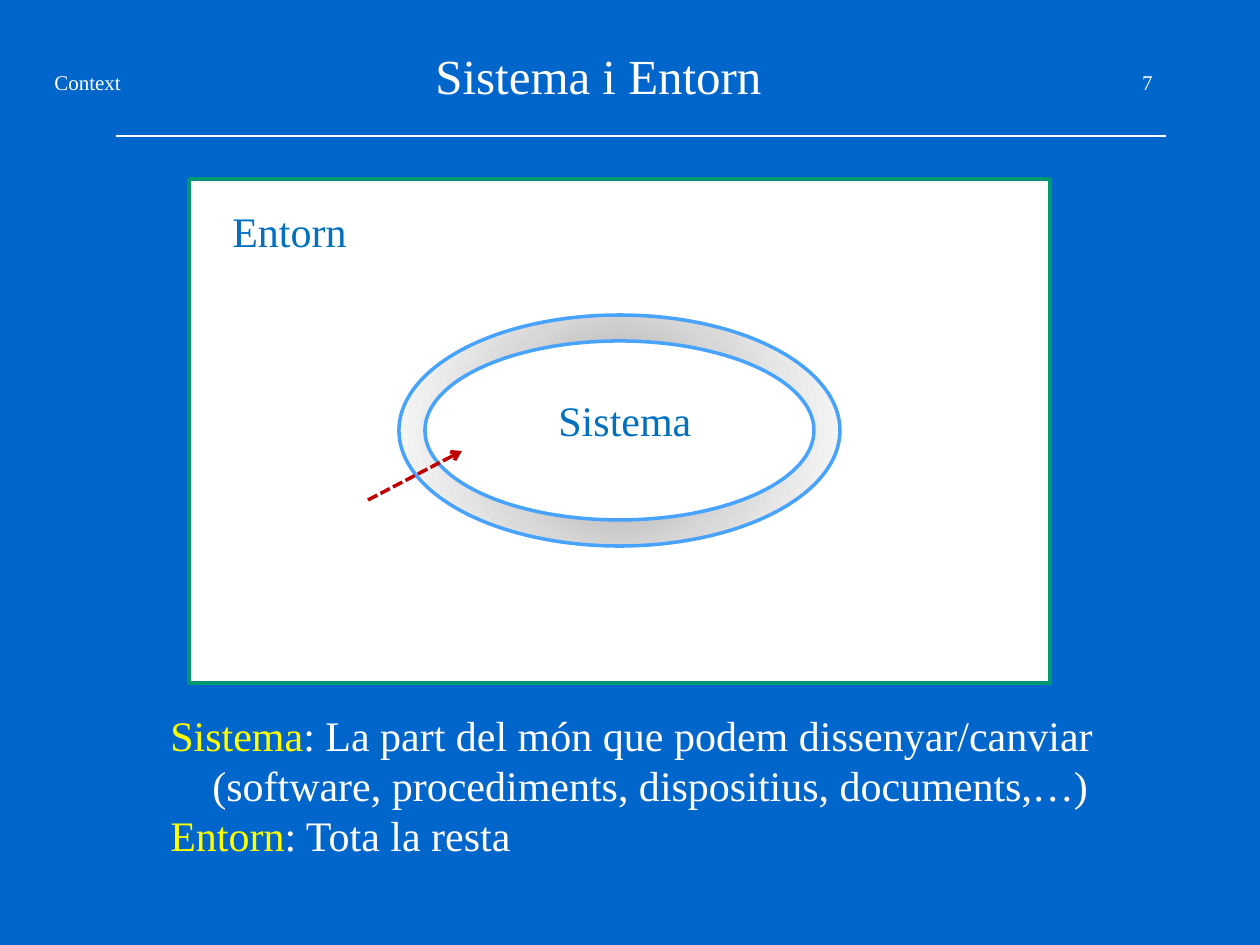
from dataclasses import dataclass

from lxml.etree import SubElement
from pptx import Presentation
from pptx.dml.color import RGBColor
from pptx.enum.dml import MSO_LINE
from pptx.enum.shapes import MSO_CONNECTOR, MSO_SHAPE
from pptx.enum.text import MSO_ANCHOR, MSO_AUTO_SIZE, PP_ALIGN
from pptx.oxml import parse_xml
from pptx.oxml.ns import nsdecls, qn
from pptx.util import Emu, Pt

PX_PER_INCH = 126
FONT = "Times New Roman"
BLUE = RGBColor(0x00, 0x66, 0xCC)
WHITE = RGBColor(0xFF, 0xFF, 0xFF)
YELLOW = RGBColor(0xFF, 0xFF, 0x00)
GREEN = RGBColor(0x00, 0x97, 0x71)
LIGHT_BLUE = RGBColor(0x47, 0xA3, 0xFF)
LABEL_BLUE = RGBColor(0x00, 0x70, 0xC0)
RED = RGBColor(0xC0, 0x00, 0x00)
RING_STOPS = ((0, "979797"), (50, "D7D7D7"), (100, "FFFFFF"))


def px(length: int) -> Emu:
    return Emu(round(length * 914400 / PX_PER_INCH))


@dataclass(frozen=True)
class Span:
    text: str
    color: RGBColor = WHITE


@dataclass(frozen=True)
class Line:
    spans: tuple[Span, ...]
    indent: int = 0


@dataclass(frozen=True)
class Label:
    left: int
    top: int
    width: int
    height: int
    lines: tuple[Line, ...]
    size: int = 24
    align: PP_ALIGN = PP_ALIGN.LEFT
    anchor: MSO_ANCHOR = MSO_ANCHOR.TOP
    wrap: bool = False


@dataclass(frozen=True)
class Area:
    kind: MSO_SHAPE
    left: int
    top: int
    width: int
    height: int
    outline: RGBColor


def one_line(text: str, color: RGBColor = WHITE) -> tuple[Line, ...]:
    return (Line((Span(text, color),)),)


HEADER = (
    Label(42, 63, 98, 38, one_line("Context"), size=12),
    Label(247, 33, 703, 84, one_line("Sistema i Entorn"), size=28,
          align=PP_ALIGN.CENTER, anchor=MSO_ANCHOR.MIDDLE, wrap=True),
    Label(976, 63, 189, 32, one_line("7"), size=12, align=PP_ALIGN.RIGHT, wrap=True),
)
DEFINITIONS = Label(158, 703, 956, 165, (
    Line((Span("Sistema", YELLOW), Span(": La part del món que podem dissenyar/canviar"))),
    Line((Span("(software, procediments, dispositius, documents,…)"),), indent=42),
    Line((Span("Entorn", YELLOW), Span(": Tota la resta"))),
))
ENVIRONMENT = Area(MSO_SHAPE.RECTANGLE, 189, 179, 861, 504, GREEN)
RING = Area(MSO_SHAPE.OVAL, 399, 315, 441, 231, LIGHT_BLUE)
SYSTEM = Area(MSO_SHAPE.OVAL, 425, 341, 389, 179, LIGHT_BLUE)
AREA_LABELS = (
    Label(546, 388, 160, 63, one_line("Sistema", LABEL_BLUE)),
    Label(220, 199, 141, 63, one_line("Entorn", LABEL_BLUE)),
)


def add_label(page, label: Label) -> None:
    box = page.shapes.add_textbox(px(label.left), px(label.top),
                                  px(label.width), px(label.height))
    frame = box.text_frame
    frame.word_wrap = label.wrap
    frame.auto_size = MSO_AUTO_SIZE.NONE if label.wrap else MSO_AUTO_SIZE.SHAPE_TO_FIT_TEXT
    frame.vertical_anchor = label.anchor
    for index, line in enumerate(label.lines):
        para = frame.add_paragraph() if index else frame.paragraphs[0]
        para.alignment = label.align
        if line.indent:
            para._p.get_or_add_pPr().set("marL", str(px(line.indent)))
        para.font.name = FONT
        para.font.size = Pt(label.size)
        for span in line.spans:
            run = para.add_run()
            run.text = span.text
            run.font.color.rgb = span.color


def add_area(page, area: Area):
    shape = page.shapes.add_shape(area.kind, px(area.left), px(area.top),
                                  px(area.width), px(area.height))
    shape.shadow.inherit = False
    shape.fill.solid()
    shape.fill.fore_color.rgb = WHITE
    shape.line.color.rgb = area.outline
    shape.line.width = Pt(2)
    return shape


def shade_from_centre(shape, stops: tuple[tuple[int, str], ...]) -> None:
    """Replace the solid fill by a circular gradient."""
    stop_xml = "".join(
        f'<a:gs pos="{position * 1000}"><a:srgbClr val="{color}"/></a:gs>'
        for position, color in stops)
    gradient = parse_xml(
        f'<a:gradFill {nsdecls("a")} rotWithShape="1"><a:gsLst>{stop_xml}</a:gsLst>'
        '<a:path path="circle"><a:fillToRect l="50000" t="50000" r="50000" b="50000"/>'
        '</a:path></a:gradFill>')
    properties = shape._element.spPr
    properties.replace(properties.find(qn("a:solidFill")), gradient)


def add_line(page, start: tuple[int, int], end: tuple[int, int],
             color: RGBColor, width: float):
    line = page.shapes.add_connector(MSO_CONNECTOR.STRAIGHT, px(start[0]), px(start[1]),
                                     px(end[0]), px(end[1]))
    line.line.color.rgb = color
    line.line.width = Pt(width)
    SubElement(line._element.spPr, qn("a:effectLst"))
    return line


def add_dashed_arrow(page, start: tuple[int, int], end: tuple[int, int]) -> None:
    arrow = add_line(page, start, end, RED, 2)
    arrow.line.dash_style = MSO_LINE.SQUARE_DOT
    SubElement(arrow.line._get_or_add_ln(), qn("a:tailEnd"), type="arrow")


def main() -> None:
    deck = Presentation()
    deck.slide_width, deck.slide_height = px(1260), px(945)
    page = deck.slides.add_slide(deck.slide_layouts[6])
    page.background.fill.solid()
    page.background.fill.fore_color.rgb = BLUE

    add_line(page, (116, 136), (1166, 136), WHITE, 0.75)
    for label in (*HEADER, DEFINITIONS):
        add_label(page, label)
    add_area(page, ENVIRONMENT)
    shade_from_centre(add_area(page, RING), RING_STOPS)
    add_area(page, SYSTEM)
    for label in AREA_LABELS:
        add_label(page, label)
    add_dashed_arrow(page, (368, 500), (462, 451))
    deck.save("out.pptx")


if __name__ == "__main__":
    main()
